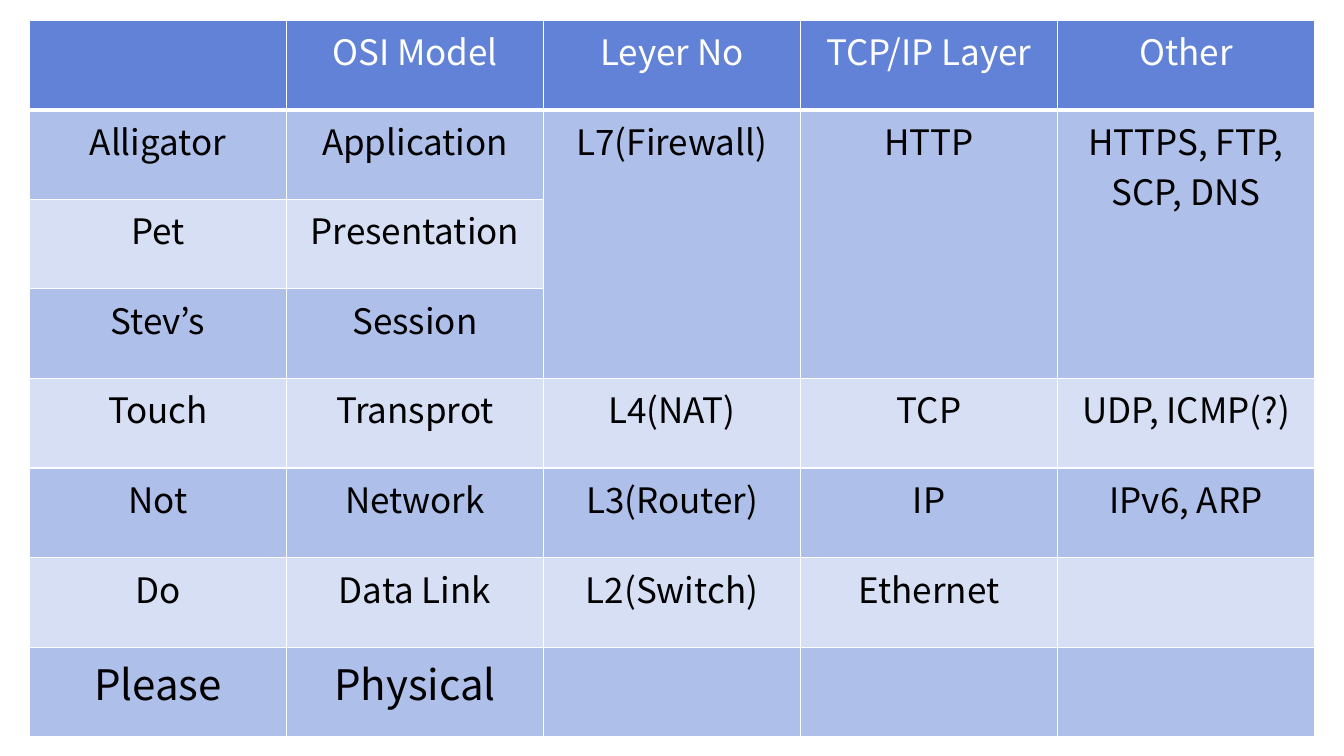
"""Build a one-slide table of the OSI layers with their mnemonic and TCP/IP protocols."""
from lxml.etree import SubElement
from pptx import Presentation
from pptx.dml.color import RGBColor
from pptx.enum.text import PP_ALIGN
from pptx.oxml.ns import qn
from pptx.util import Pt

COLORS = {
    "header": "6182D6",
    "odd": "AEBFEA",
    "even": "D7DFF4",
    "border": "FFFFFF",
    "header_text": "FFFFFF",
    "body_text": "000000",
}
LAYERS = [
    ["", "OSI Model", "Leyer No", "TCP/IP Layer", "Other"],
    ["Alligator", "Application", "L7(Firewall)", "HTTP", "HTTPS, FTP, SCP, DNS"],
    ["Pet", "Presentation", "", "", ""],
    ["Stev’s", "Session", "", "", ""],
    ["Touch", "Transprot", "L4(NAT)", "TCP", "UDP, ICMP(?)"],
    ["Not", "Network", "L3(Router)", "IP", "IPv6, ARP"],
    ["Do", "Data Link", "L2(Switch)", "Ethernet", ""],
    ["Please", "Physical", "", "", ""],
]
COLUMN_WIDTH, ROW_HEIGHT = 183.6, 64


def add_border(cell, side, width):
    """Draw one edge of a cell."""
    edge = SubElement(cell._tc.get_or_add_tcPr(), qn(f"a:{side}"), w=str(Pt(width)))
    fill = SubElement(edge, qn("a:solidFill"))
    SubElement(fill, qn("a:srgbClr"), val=COLORS["border"])


prs = Presentation()
prs.slide_width, prs.slide_height = Pt(960), Pt(540)
slide = prs.slides.add_slide(prs.slide_layouts[6])

row_count, column_count = len(LAYERS), len(LAYERS[0])
osi_table = slide.shapes.add_table(
    row_count, column_count, Pt(21), Pt(14.4),
    Pt(COLUMN_WIDTH * column_count), Pt(ROW_HEIGHT * row_count),
).table
for column in osi_table.columns:
    column.width = Pt(COLUMN_WIDTH)
for row in osi_table.rows:
    row.height = Pt(ROW_HEIGHT)

for row_index, layer in enumerate(LAYERS):
    is_header = row_index == 0
    band = "header" if is_header else "odd" if row_index % 2 else "even"
    text_format = {
        "name": "Noto Sans CJK KR",
        "size": Pt(30 if row_index == row_count - 1 else 25),
        "bold": False,
    }
    border_widths = {
        "lnL": 1,
        "lnR": 1,
        "lnT": 3 if row_index == 1 else 1,
        "lnB": 3 if is_header else 1,
    }
    for column_index, label in enumerate(layer):
        cell = osi_table.cell(row_index, column_index)
        for side, width in border_widths.items():
            add_border(cell, side, width)
        cell.fill.solid()
        cell.fill.fore_color.rgb = RGBColor.from_string(COLORS[band])
        if label:
            paragraph = cell.text_frame.paragraphs[0]
            paragraph.alignment = PP_ALIGN.CENTER
            run = paragraph.add_run()
            run.text = label
            for attribute, value in text_format.items():
                setattr(run.font, attribute, value)
            text_color = COLORS["header_text" if is_header else "body_text"]
            run.font.color.rgb = RGBColor.from_string(text_color)

for column_index in range(2, column_count):
    osi_table.cell(1, column_index).merge(osi_table.cell(3, column_index))

prs.save("out.pptx")
